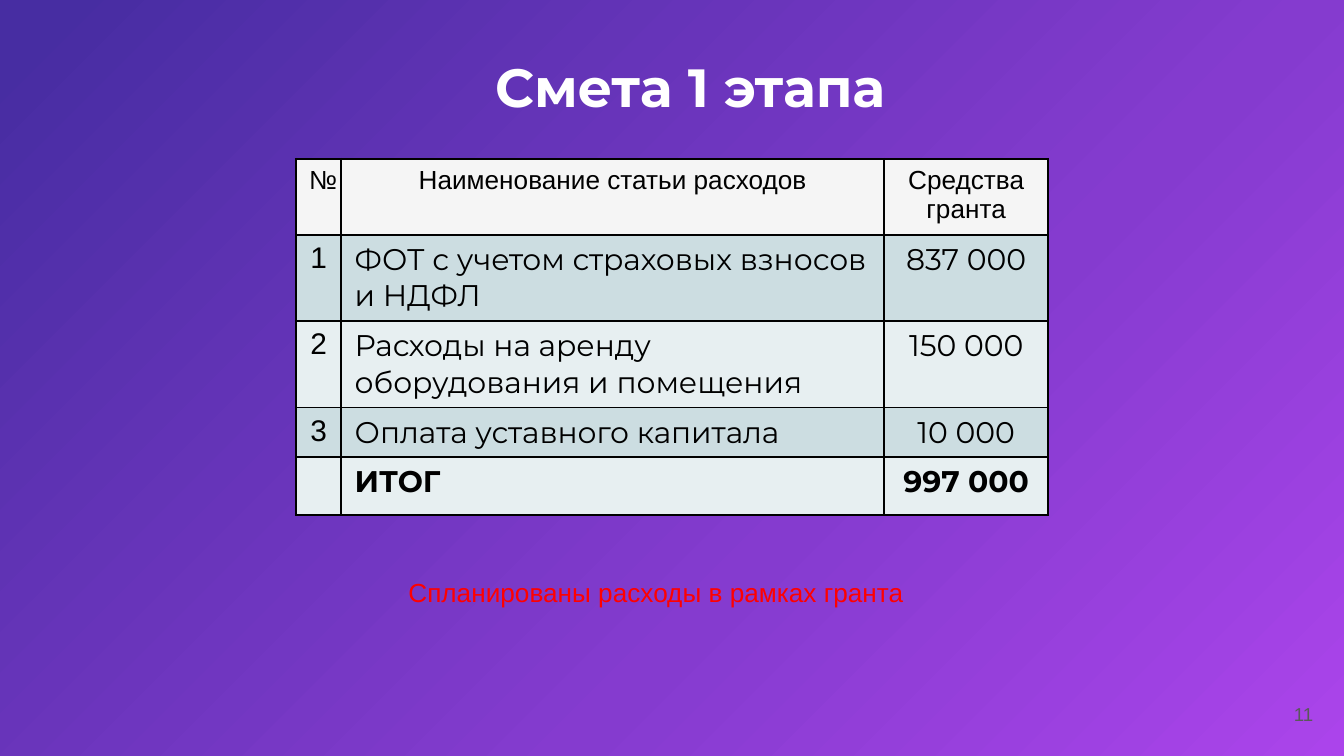
from dataclasses import dataclass

from lxml.etree import SubElement
from pptx import Presentation
from pptx.dml.color import RGBColor as Rgb
from pptx.enum.text import MSO_ANCHOR as Anchor, PP_ALIGN as Align
from pptx.oxml.ns import qn
from pptx.util import Cm, Pt


@dataclass(frozen=True)
class Theme:
    plain_font: str = "Arial"
    accent_font: str = "Montserrat"
    title_size: float = 28.8
    body_size: float = 16
    small_size: float = 14
    number_size: float = 10
    white: str = "FFFFFF"
    black: str = "000000"
    red: str = "FF0000"
    grey: str = "595959"
    header_fill: str = "F5F5F5"
    band_fills: tuple = ("CCDDE1", "E7EFF1")
    backdrop: tuple = ((0, "472DA2"), (3, "472DA2"), (63, "853BCF"), (100, "AB44EB"))


class SlideBuilder:
    def __init__(self, page, theme):
        self.page = page
        self.theme = theme

    def background(self):
        fill = self.page.background.fill
        fill.gradient()
        fill.gradient_angle = 315
        stops = next(self.page.element.iter(qn("a:gsLst")))
        for stop in list(stops):
            stops.remove(stop)
        for percent, color in self.theme.backdrop:
            stop = SubElement(stops, qn("a:gs"), pos=str(percent * 1000))
            SubElement(stop, qn("a:srgbClr"), val=color)

    def set_text(self, frame, text, size, color, font, align=Align.LEFT, bold=False):
        frame.text = text
        para = frame.paragraphs[0]
        para.alignment = align
        for span in para.runs:
            span.font.name = font
            span.font.size = Pt(size)
            span.font.bold = bold
            span.font.color.rgb = Rgb.from_string(color)

    def text_box(self, place, text, size, color, font, align=Align.LEFT,
                 bold=False, anchor=Anchor.TOP, inset=None):
        box = self.page.shapes.add_textbox(*map(Cm, place))
        frame = box.text_frame
        frame.word_wrap = True
        frame.vertical_anchor = anchor
        if inset is not None:
            frame.margin_left = frame.margin_right = Cm(inset)
            frame.margin_top = frame.margin_bottom = Cm(inset)
        self.set_text(frame, text, size, color, font, align, bold)

    def cell_borders(self, cell):
        """Put the four lines ahead of the fill, as the schema orders them."""
        props = cell._tc.get_or_add_tcPr()
        for index, side in enumerate(("lnL", "lnR", "lnT", "lnB")):
            line = SubElement(props, qn(f"a:{side}"), w=str(Pt(1)))
            solid = SubElement(line, qn("a:solidFill"))
            SubElement(solid, qn("a:srgbClr"), val=self.theme.black)
            props.insert(index, line)

    def budget_table(self, left, top, widths, heights, rows):
        theme = self.theme
        table = self.page.shapes.add_table(
            len(rows), len(widths), Cm(left), Cm(top),
            Cm(sum(widths)), Cm(sum(heights))).table
        for column, width in zip(table.columns, widths):
            column.width = Cm(width)
        for row, height in zip(table.rows, heights):
            row.height = Cm(height)
        for r, values in enumerate(rows):
            header, total = r == 0, r == len(rows) - 1
            for c, value in enumerate(values):
                cell = table.cell(r, c)
                cell.fill.solid()
                cell.fill.fore_color.rgb = Rgb.from_string(
                    theme.header_fill if header else theme.band_fills[(r - 1) % 2])
                self.cell_borders(cell)
                self.set_text(
                    cell.text_frame, value,
                    theme.small_size if header else theme.body_size,
                    theme.black,
                    theme.plain_font if header or c == 0 else theme.accent_font,
                    Align.LEFT if c == 1 and not header else Align.CENTER,
                    total)


def main():
    deck = Presentation()
    deck.slide_width, deck.slide_height = Cm(25.4), Cm(14.29)
    theme = Theme()
    slide = SlideBuilder(deck.slides.add_slide(deck.slide_layouts[6]), theme)

    slide.background()
    slide.text_box((23.55, 12.95, 1.52, 1.09), "11", theme.number_size, theme.grey,
                   theme.plain_font, Align.RIGHT, anchor=Anchor.MIDDLE, inset=0.25)
    slide.budget_table(5.59, 3, (0.86, 10.26, 3.1), (1.37, 1.63, 1.63, 0.94, 1.09), (
        ("№", "Наименование статьи расходов", "Средства гранта"),
        ("1", "ФОТ с учетом страховых взносов и НДФЛ", "837 000"),
        ("2", "Расходы на аренду оборудования и помещения", "150 000"),
        ("3", "Оплата уставного капитала", "10 000"),
        ("", "ИТОГ", "997 000"),
    ))
    slide.text_box((7.47, 10.77, 14.1, 0.86), "Спланированы расходы в рамках гранта",
                   theme.small_size, theme.red, theme.plain_font)
    slide.text_box((7.47, 0.76, 11.15, 1.78), "Смета 1 этапа", theme.title_size,
                   theme.white, theme.accent_font, Align.CENTER, bold=True, inset=0.25)
    deck.save("out.pptx")


if __name__ == "__main__":
    main()
